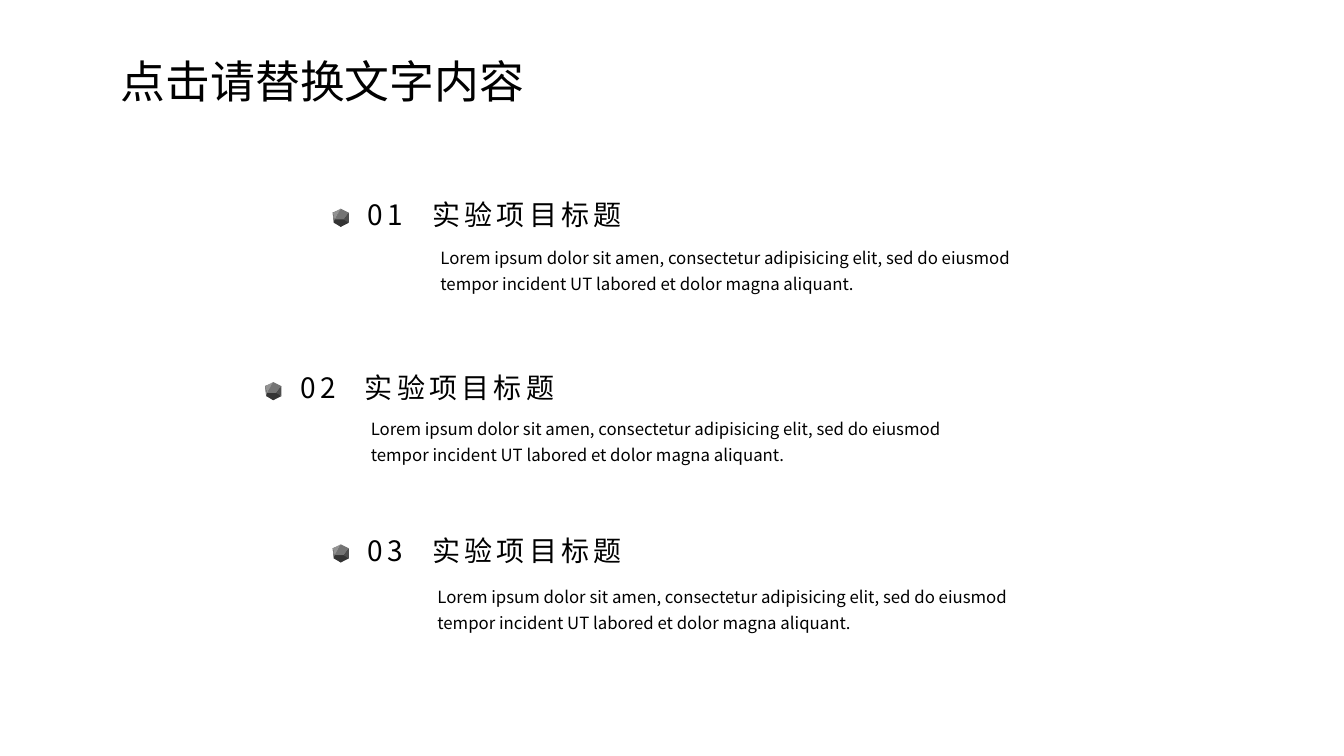
import pptx
import pptx.dml.color
import pptx.oxml.ns
import pptx.util
from lxml import etree

PX = 9144  # EMU per px, 100 px to the inch
COLORS = {
    "text": "000000",
    "silhouette": "262626",
    "front": "747474",
    "top_left": "939393",
    "left": "868686",
    "bottom": "343434",
    "right": "4D4D4D",
}
GEM_FACETS = {
    "silhouette": [(1, 13), (0, 4), (8, 1), (15, 4), (15, 13), (8, 18)],
    "front": [(8, 0), (2, 11), (11, 11), (16, 4)],
    "top_left": [(0, 4), (2, 11), (8, 0)],
    "left": [(0, 4), (1, 14), (2, 11)],
    "bottom": [(1, 14), (8, 18), (16, 14), (11, 11), (2, 11)],
    "right": [(16, 4), (16, 14), (11, 11)],
}
HEADING_FONT = "Noto Sans CJK JP"
BODY_FONT = "Noto Sans CJK SC"
HEADING = "实验项目标题"
BODY = ("Lorem ipsum dolor sit amen, consectetur adipisicing elit, "
        "sed do eiusmod tempor incident UT labored et dolor magna aliquant.")
# Heading left and top, then body left and top
ITEMS = [
    (355, 196, 427, 240),
    (288, 368, 358, 409),
    (355, 529, 424, 576),
]
GEM_OFFSET = (-25, 11)
HEADING_TAB = 64


def rgb(name):
    return pptx.dml.color.RGBColor.from_string(COLORS[name])


def add_gem(slide, left, top):
    gem = slide.shapes.add_group_shape()
    for facet, points in GEM_FACETS.items():
        start, *others = [(left + x, top + y) for x, y in points]
        builder = gem.shapes.build_freeform(*start, scale=PX)
        builder.add_line_segments(others, close=True)
        shape = builder.convert_to_shape()
        shape.shadow.inherit = False
        shape.fill.solid()
        shape.fill.fore_color.rgb = rgb(facet)
        shape.line.fill.background()


def add_tab_stop(paragraph, position):
    properties = paragraph._p.get_or_add_pPr()
    tabs = etree.SubElement(properties, pptx.oxml.ns.qn("a:tabLst"))
    etree.SubElement(tabs, pptx.oxml.ns.qn("a:tab"),
                     pos=str(position * PX), algn="l")


def add_text(slide, box, text, size, font, wrap=True, line_spacing=None,
             letter_spacing=0, tab=None):
    """Add one paragraph; letter_spacing is in points and tab in px."""
    shape = slide.shapes.add_textbox(*(length * PX for length in box))
    frame = shape.text_frame
    frame.word_wrap = wrap
    frame.margin_top = frame.margin_bottom = 0
    paragraph = frame.paragraphs[0]
    if tab:
        add_tab_stop(paragraph, tab)
    if line_spacing:
        paragraph.line_spacing = line_spacing
    paragraph.font.size = pptx.util.Pt(size)
    paragraph.font.name = font
    paragraph.font.color.rgb = rgb("text")
    run = paragraph.add_run()
    run.text = text
    run_properties = run._r.get_or_add_rPr()
    if letter_spacing:
        run_properties.set("spc", str(letter_spacing * 100))
    etree.SubElement(run_properties, pptx.oxml.ns.qn("a:ea"), typeface=font)


def add_item(slide, number, heading_left, heading_top, body_left, body_top):
    add_gem(slide, heading_left + GEM_OFFSET[0], heading_top + GEM_OFFSET[1])
    add_text(slide, (heading_left, heading_top, 355, 44),
             f"{number:02d}\t{HEADING}", 20, HEADING_FONT,
             letter_spacing=3, tab=HEADING_TAB)
    add_text(slide, (body_left, body_top, 590, 63), BODY, 12, BODY_FONT,
             line_spacing=1.3)


def main():
    presentation = pptx.Presentation()
    presentation.slide_width = 1333 * PX
    presentation.slide_height = 750 * PX
    slide = presentation.slides.add_slide(presentation.slide_layouts[6])
    add_text(slide, (110, 53, 424, 64), "点击请替换文字内容", 32, BODY_FONT,
             wrap=False)
    for number, places in enumerate(ITEMS, start=1):
        add_item(slide, number, *places)
    presentation.save("out.pptx")


if __name__ == "__main__":
    main()
